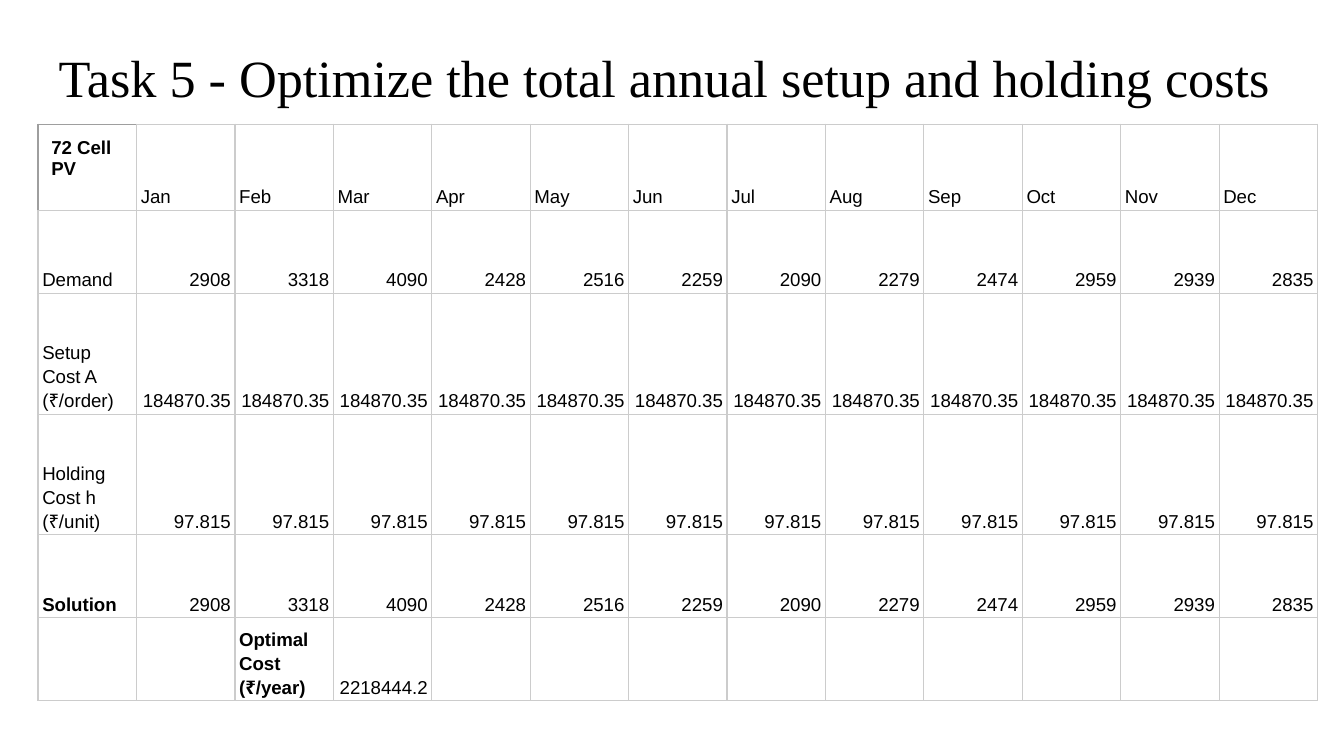
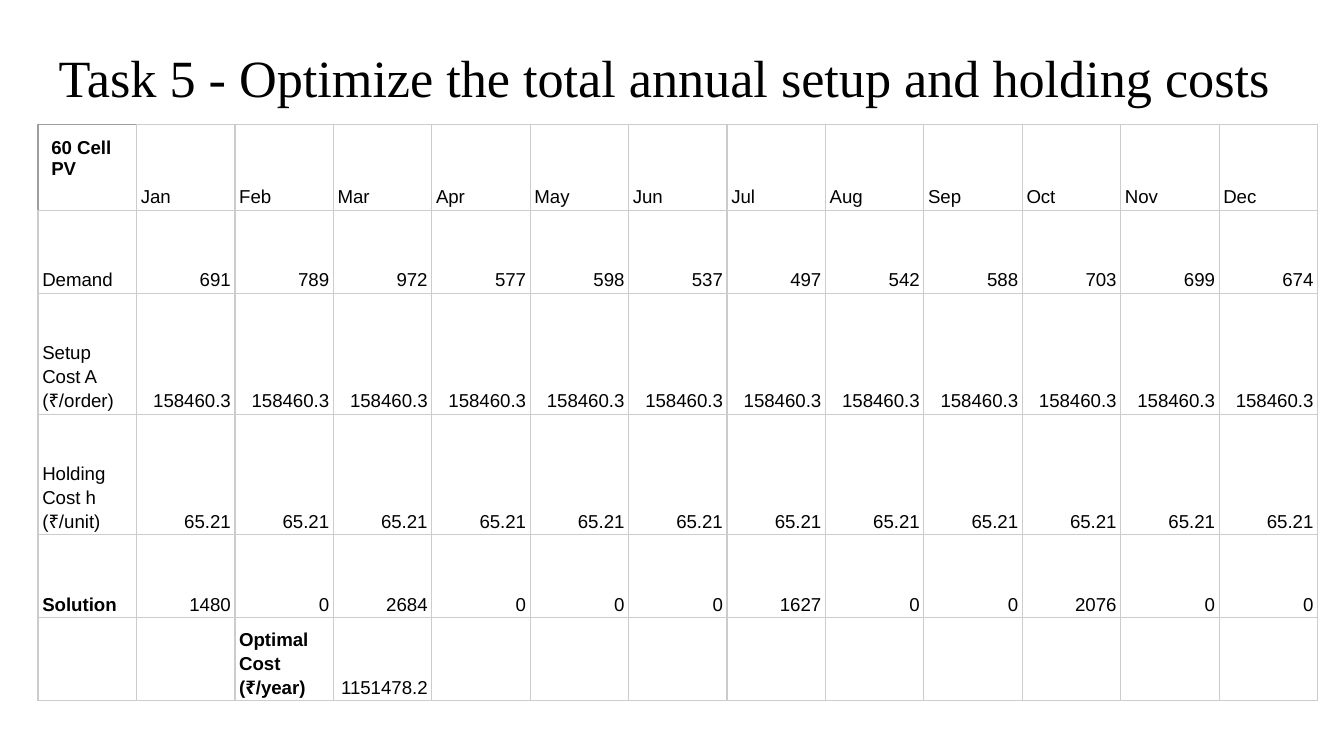
from dataclasses import dataclass
from typing import Any

from lxml import etree
from pptx import Presentation
from pptx.dml.color import RGBColor
from pptx.enum.text import MSO_ANCHOR, MSO_AUTO_SIZE, PP_ALIGN
from pptx.oxml.ns import qn
from pptx.util import Cm, Pt

LEFT, RIGHT, JUSTIFY = PP_ALIGN.LEFT, PP_ALIGN.RIGHT, PP_ALIGN.JUSTIFY
TOP, BOTTOM = MSO_ANCHOR.TOP, MSO_ANCHOR.BOTTOM
NO_AUTOFIT = MSO_AUTO_SIZE.NONE

BLACK, GRID, CORNER_GRID = "000000", "CCCCCC", "9E9E9E"
TITLE_ONLY = 5
TITLE = "Task 5 - Optimize the total annual setup and holding costs"
MONTHS = "Jan Feb Mar Apr May Jun Jul Aug Sep Oct Nov Dec".split()
COLUMN_WIDTH = 1.86
ROW_HEIGHTS = (1.63, 1.57, 2.28, 2.28, 1.57, 1.57)

WIDE_MARGINS = {f"margin_{side}": Cm(0.25) for side in ("left", "top", "right", "bottom")}
TITLE_BOX = {"left": Cm(0.86), "top": Cm(0.61), "width": Cm(23.67), "height": Cm(1.6)}
TITLE_FRAME = {
    **WIDE_MARGINS,
    "word_wrap": True,
    "auto_size": NO_AUTOFIT,
    "vertical_anchor": TOP,
}
TITLE_FONT = {"name": "Times New Roman", "size": Pt(28), "bold": False}
CELL_FONT = {"name": "Arial", "size": Pt(10)}
CORNER_CELL = {**WIDE_MARGINS, "vertical_anchor": TOP}
GRID_CELL = {
    "margin_left": Cm(0.08),
    "margin_right": Cm(0.08),
    "margin_top": Cm(0.05),
    "margin_bottom": Cm(0.05),
    "vertical_anchor": BOTTOM,
}
PLAIN_TABLE = {"first_row": False, "horz_banding": False}


@dataclass(frozen=True)
class CostPlan:
    product: str
    demand: tuple[int, ...]
    setup_cost: str
    holding_cost: str
    solution: tuple[int, ...]
    optimal_cost: str

    def rows(self) -> list[list[str]]:
        months = len(MONTHS)
        return [
            [self.product, *MONTHS],
            ["Demand", *map(str, self.demand)],
            ["Setup Cost A (₹/order)"] + [self.setup_cost] * months,
            ["Holding Cost h (₹/unit)"] + [self.holding_cost] * months,
            ["Solution", *map(str, self.solution)],
            ["", "", "Optimal Cost (₹/year)", self.optimal_cost] + [""] * (months - 3),
        ]


DEMAND_72 = (2908, 3318, 4090, 2428, 2516, 2259, 2090, 2279, 2474, 2959, 2939, 2835)
DEMAND_60 = (691, 789, 972, 577, 598, 537, 497, 542, 588, 703, 699, 674)
SOLUTION_60 = (1480, 0, 2684, 0, 0, 0, 1627, 0, 0, 2076, 0, 0)
PLANS = (
    CostPlan("72 Cell PV", DEMAND_72, "184870.35", "97.815", DEMAND_72, "2218444.2"),
    CostPlan("60 Cell PV", DEMAND_60, "158460.3", "65.21", SOLUTION_60, "1151478.2"),
)


def colour(value: str) -> RGBColor:
    return RGBColor.from_string(value)


def apply(target: Any, values: dict[str, Any]) -> None:
    for name, value in values.items():
        setattr(target, name, value)


def write(para: Any, text: str, font: dict[str, Any]) -> None:
    span = para.add_run()
    span.text = text
    apply(span.font, font)
    span.font.color.rgb = colour(BLACK)


def add_borders(cell: Any, is_corner: bool) -> None:
    properties = cell._tc.get_or_add_tcPr()
    for side in "LRTB":
        shade = CORNER_GRID if is_corner and side in "LT" else GRID
        line = etree.SubElement(properties, qn(f"a:ln{side}"), w=str(Pt(0.75)))
        fill = etree.SubElement(line, qn("a:solidFill"))
        etree.SubElement(fill, qn("a:srgbClr"), val=shade)


def draw_title(page: Any) -> None:
    box = page.shapes.title
    apply(box, TITLE_BOX)
    apply(box.text_frame, TITLE_FRAME)
    para = box.text_frame.paragraphs[0]
    para.alignment = JUSTIFY
    write(para, TITLE, TITLE_FONT)


def draw_cell(cell: Any, text: str, row: int, column: int) -> None:
    is_corner = row == column == 0
    add_borders(cell, is_corner)
    cell.fill.background()
    apply(cell, CORNER_CELL if is_corner else GRID_CELL)
    if not text:
        return
    is_bold = is_corner or text.startswith(("Solution", "Optimal"))
    is_number = text[0].isdigit() and not is_corner
    para = cell.text_frame.paragraphs[0]
    para.alignment = RIGHT if is_number else LEFT
    para.line_spacing = 1.0 if is_corner else 1.15
    write(para, text, {**CELL_FONT, "bold": is_bold})


def draw_plan(page: Any, plan: CostPlan) -> None:
    rows = plan.rows()
    columns = len(rows[0])
    frame = page.shapes.add_table(
        len(rows), columns, Cm(0.72), Cm(2.35),
        Cm(COLUMN_WIDTH * columns), Cm(sum(ROW_HEIGHTS)),
    )
    table = frame.table
    apply(table, PLAIN_TABLE)
    for column in table.columns:
        column.width = Cm(COLUMN_WIDTH)
    for row, height in zip(table.rows, ROW_HEIGHTS):
        row.height = Cm(height)
    for row_index, texts in enumerate(rows):
        for column_index, text in enumerate(texts):
            draw_cell(table.cell(row_index, column_index), text, row_index, column_index)


def main() -> None:
    deck = Presentation()
    apply(deck, {"slide_width": Cm(25.4), "slide_height": Cm(14.29)})
    for plan in PLANS:
        page = deck.slides.add_slide(deck.slide_layouts[TITLE_ONLY])
        draw_title(page)
        draw_plan(page, plan)
    deck.save("out.pptx")


if __name__ == "__main__":
    main()
